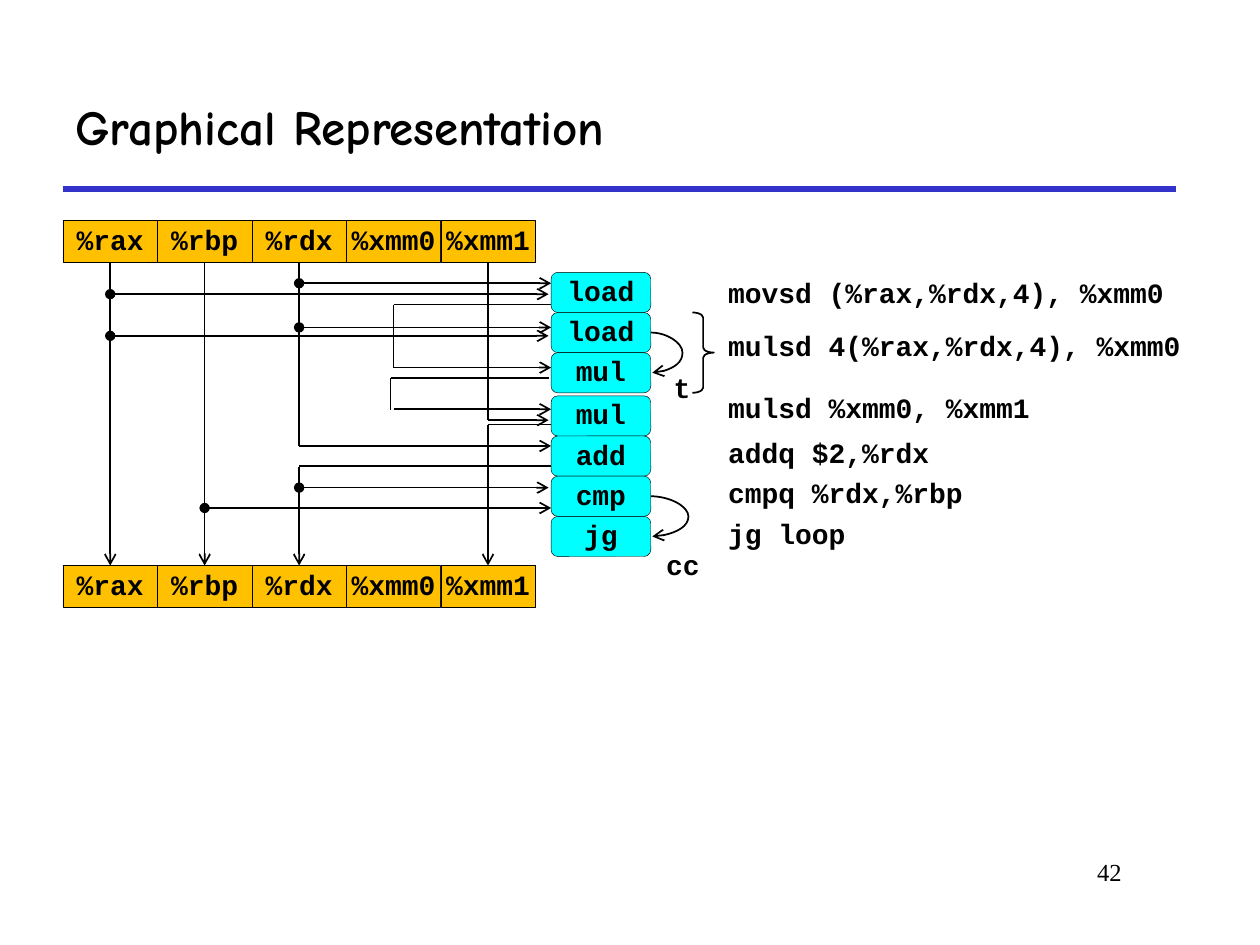
import collections

import pptx
import pptx.dml.color
import pptx.enum.shapes
import pptx.enum.text
import pptx.oxml
import pptx.oxml.ns
import pptx.util

Cm, Pt = pptx.util.Cm, pptx.util.Pt
SHAPE = pptx.enum.shapes.MSO_SHAPE
CONNECTOR = pptx.enum.shapes.MSO_CONNECTOR
ALIGN = pptx.enum.text.PP_ALIGN
ANCHOR = pptx.enum.text.MSO_ANCHOR

COLORS = {"ink": "000000", "rule": "3333CC", "register": "FFC000", "operation": "00FFFF"}
CODE_FONT = "Courier New"
REGISTERS = ["%rax", "%rbp", "%rdx", "%xmm0", "%xmm1"]
OPERATIONS = ["load", "load", "mul", "mul", "add", "cmp", "jg"]
OPERATION_HEIGHT = 0.81
ITERATION_GAP = 0.06  # between the two mul operations

Box = collections.namedtuple("Box", "left top width height")


def color(name):
    return pptx.dml.color.RGBColor.from_string(COLORS[name])


def write(shape, text, size=16, font=CODE_FONT, bold=True, align=ALIGN.LEFT,
          anchor=ANCHOR.MIDDLE, spacing=0.9, wrap=True):
    frame = shape.text_frame
    frame.word_wrap = wrap
    frame.vertical_anchor = anchor
    frame.text = text
    paragraph = frame.paragraphs[0]
    paragraph.alignment = align
    paragraph.line_spacing = spacing
    style = paragraph.runs[0].font
    style.name, style.size, style.bold = font, Pt(size), bold
    style.color.rgb = color("ink")


def text_box(slide, box, text, **style):
    write(slide.shapes.add_textbox(*map(Cm, box)), text, **style)


def outline(slide, kind, box, fill=None, width=None):
    shape = slide.shapes.add_shape(kind, *map(Cm, box))
    shape.shadow.inherit = False
    if fill:
        shape.fill.solid()
        shape.fill.fore_color.rgb = color(fill)
    else:
        shape.fill.background()
    if width:
        shape.line.color.rgb = color("ink")
        shape.line.width = Pt(width)
    else:
        shape.line.fill.background()
    return shape


def cell(slide, kind, box, text, fill):
    shape = outline(slide, kind, box, fill, 0.25)
    write(shape, text, align=ALIGN.CENTER)
    frame = shape.text_frame
    frame.margin_left = frame.margin_right = frame.margin_top = frame.margin_bottom = 0


def connect(slide, start, end, ends="", kind=CONNECTOR.STRAIGHT, ink="ink", width=1):
    """Draw a line; ends may hold 'o' for a dot at the start and '>' for an arrow."""
    line = slide.shapes.add_connector(kind, *map(Cm, (*start, *end)))
    line.line.color.rgb = color(ink)
    line.line.width = Pt(width)
    stroke = line.line._get_or_add_ln()
    for mark, tag, style in (("o", "a:headEnd", "oval"), (">", "a:tailEnd", "arrow")):
        if mark in ends:
            tip = pptx.oxml.parse_xml(f"<{tag} {pptx.oxml.ns.nsdecls('a')} type='{style}'/>")
            stroke.append(tip)
    line._element.spPr.append(
        pptx.oxml.parse_xml(f"<a:effectLst {pptx.oxml.ns.nsdecls('a')}/>"))
    return line


def add_heading(slide, box):
    bottom = box.top + box.height
    connect(slide, (box.left, bottom), (box.left + box.width, bottom), ink="rule", width=3)
    text_box(slide, box, "Graphical Representation", size=28, font="Comic Neue", spacing=1)


def add_registers(slide, box):
    width = box.width / len(REGISTERS)
    for i, register in enumerate(REGISTERS):
        cell(slide, SHAPE.RECTANGLE, Box(box.left + i * width, box.top, width, box.height),
             register, "register")


def add_wires(slide, box, register_width):
    """Wires from the register columns (left) to the operations (right edge)."""
    rax, rbp, rdx, xmm0, xmm1 = ((i + 0.5) * register_width for i in range(len(REGISTERS)))
    right, bottom = box.width, box.height
    near = right - 0.05
    detour = xmm0 - 0.06

    # Vertical: x, from y, to y, ends
    vertical = [
        (rax, 0, bottom, ">"), (rbp, 0, bottom, ">"),
        (rdx, 0, 3.7, ""), (rdx, 4.13, bottom, ">"),
        (xmm0, 0.85, 2.12, ""), (detour, 2.33, 2.97, ""),
        (xmm1, 0, 3.18, ""), (xmm1, 3.27, bottom, ">"),
    ]
    # Horizontal: y, from x, to x, ends
    horizontal = [
        (0.42, rdx, right, "o>"), (0.64, rax, near, "o>"),
        (0.85, xmm0, right, ""), (1.31, rdx, right, "o>"),
        (1.48, rax, near, "o>"), (2.12, xmm0, right, ">"),
        (2.33, detour, near, ""), (2.96, xmm0, right, ">"),
        (3.18, xmm1, near, ">"), (3.27, xmm1, right, ""),
        (3.7, rdx, right, ">"), (4.11, rdx, right, ""),
        (4.54, rdx, near, "o>"), (4.95, rbp, right, "o>"),
    ]
    segments = [((x, y1), (x, y2), ends) for x, y1, y2, ends in vertical]
    segments += [((x1, y), (x2, y), ends) for y, x1, x2, ends in horizontal]
    for start, end, ends in segments:
        connect(slide, *([box.left + x, box.top + y] for x, y in (start, end)), ends)


def add_operations(slide, box):
    tops = [box.top + i * OPERATION_HEIGHT + (ITERATION_GAP if i > 2 else 0)
            for i in range(len(OPERATIONS))]
    for top, operation in zip(tops, OPERATIONS):
        cell(slide, SHAPE.ROUNDED_RECTANGLE,
             Box(box.left, top, box.width, OPERATION_HEIGHT), operation, "operation")

    # Values handed from one operation to the next: source index, bulge
    right = box.left + box.width
    reach = 0.03
    for source, bulge in ((1, 0.64), (5, 0.76)):
        start, end = (tops[i] + OPERATION_HEIGHT / 2 for i in (source, source + 1))
        curve = connect(slide, (right, start), (right + reach, end), ">", CONNECTOR.CURVE)
        guides = curve._element.spPr.prstGeom.get_or_add_avLst()
        guides.append(pptx.oxml.parse_xml(
            f"<a:gd {pptx.oxml.ns.nsdecls('a')} name='adj1' "
            f"fmla='val {round(bulge / reach * 100000)}'/>"))
    for label, x, y, width in (("t", 0.21, 1.93, 0.86), ("cc", 0.06, 5.51, 1.19)):
        text_box(slide, Box(right + x, box.top + y, width, 0.88), label,
                 anchor=ANCHOR.TOP, wrap=False)

    # Brace over the load and mul of one instruction
    brace = outline(slide, SHAPE.RIGHT_BRACE,
                    Box(right + 0.84, tops[1], 0.43, 2 * OPERATION_HEIGHT), width=1)
    brace.adjustments[0] = 0.24


def add_instructions(slide, box):
    instructions = [  # offset, text
        (0, "movsd (%rax,%rdx,4), %xmm0"), (1.07, "mulsd 4(%rax,%rdx,4), %xmm0"),
        (2.33, "mulsd %xmm0, %xmm1"), (3.23, "addq $2,%rdx"),
        (4.04, "cmpq %rdx,%rbp"), (4.86, "jg loop"),
    ]
    for offset, instruction in instructions:
        line = outline(slide, SHAPE.ROUNDED_RECTANGLE,
                       Box(box.left, box.top + offset, box.width, 0.84))
        write(line, instruction)


def add_page_number(slide, box):
    text_box(slide, box, "42", size=14, font="Times New Roman", bold=False,
             align=ALIGN.RIGHT, anchor=ANCHOR.TOP, spacing=1)


def main():
    deck = pptx.Presentation()
    deck.slide_width, deck.slide_height = Cm(25.4), Cm(19.05)
    slide = deck.slides.add_slide(deck.slide_layouts[6])

    before = Box(1.27, 4.45, 9.52, 0.84)
    after = before._replace(top=11.4)
    wires_top = before.top + before.height
    operations = Box(11.11, 5.49, 2.01, 5.73)

    add_heading(slide, Box(1.27, 1.27, 22.43, 2.54))
    add_registers(slide, before)
    add_registers(slide, after)
    add_wires(slide, Box(before.left, wires_top, operations.left - before.left,
                         after.top - wires_top), before.width / len(REGISTERS))
    add_operations(slide, operations)
    add_instructions(slide, Box(14.39, 5.51, 10.16, 5.7))
    add_page_number(slide, Box(19.26, 17.15, 3.6, 1.27))
    deck.save("out.pptx")


if __name__ == "__main__":
    main()
